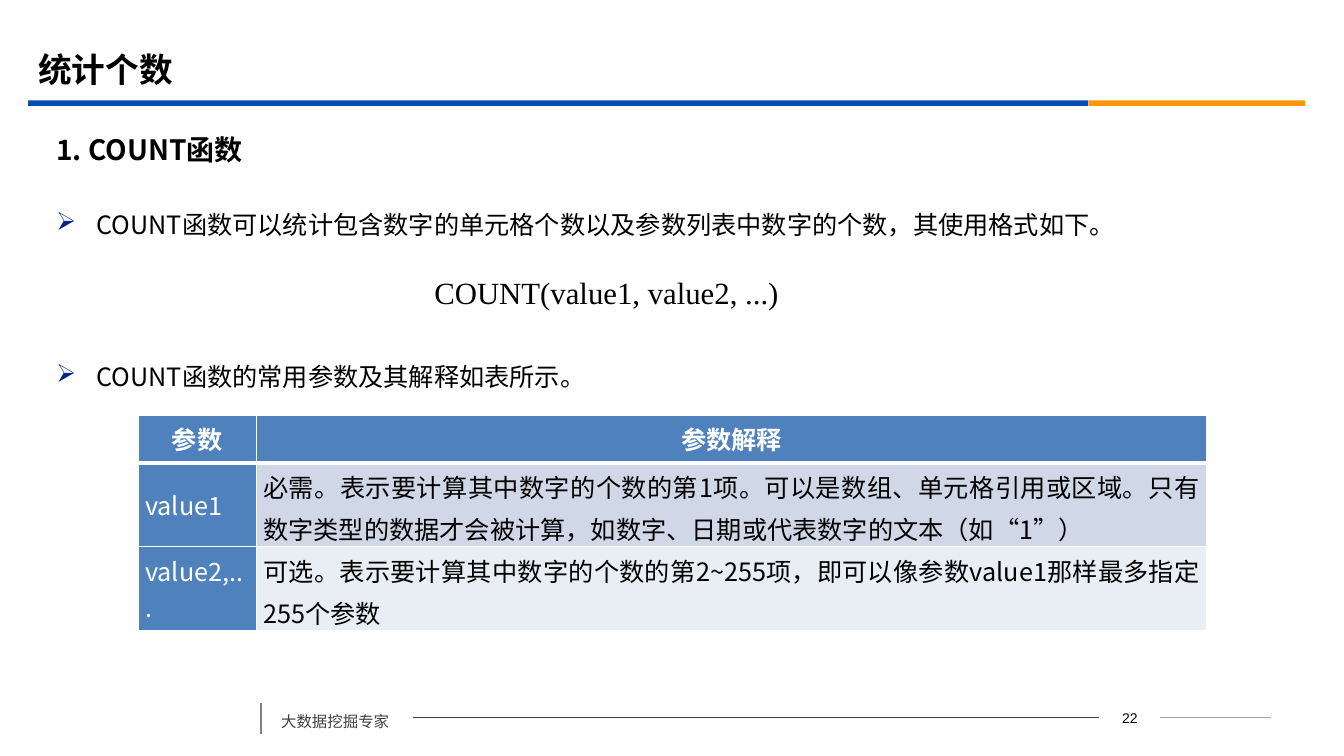
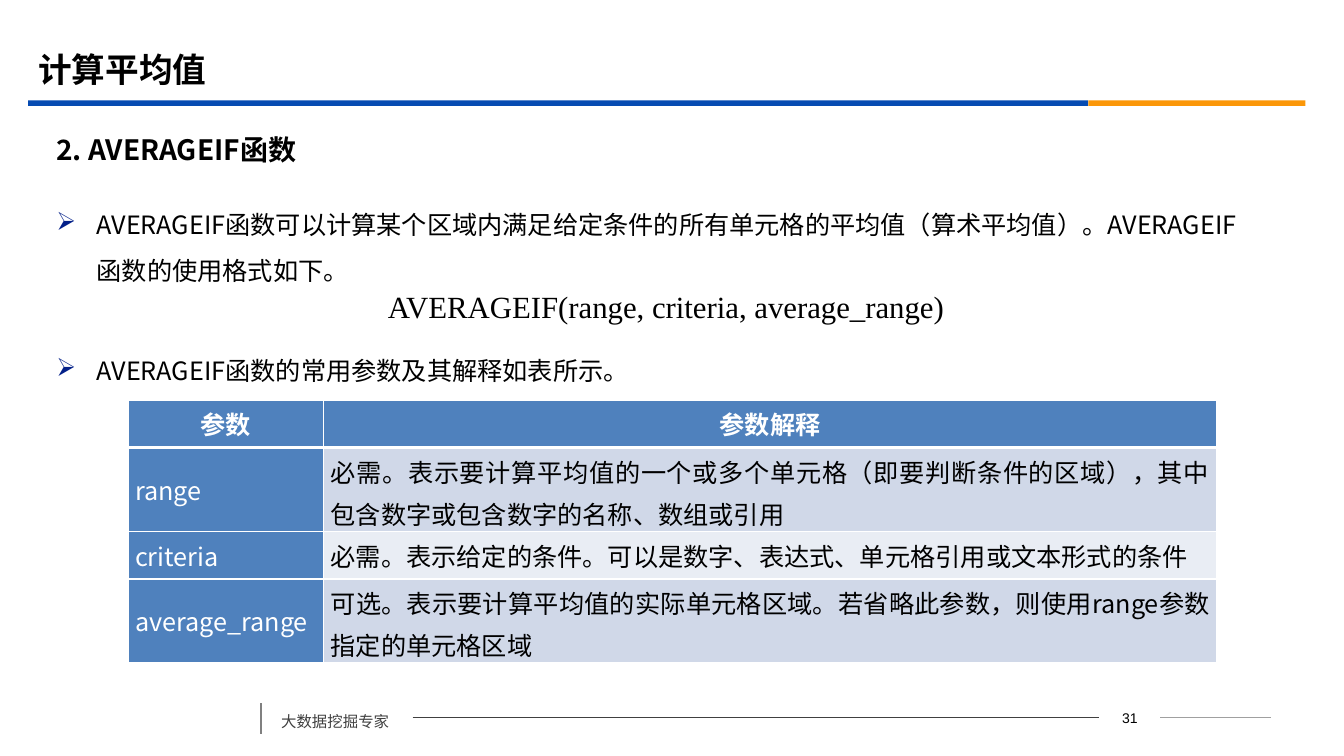
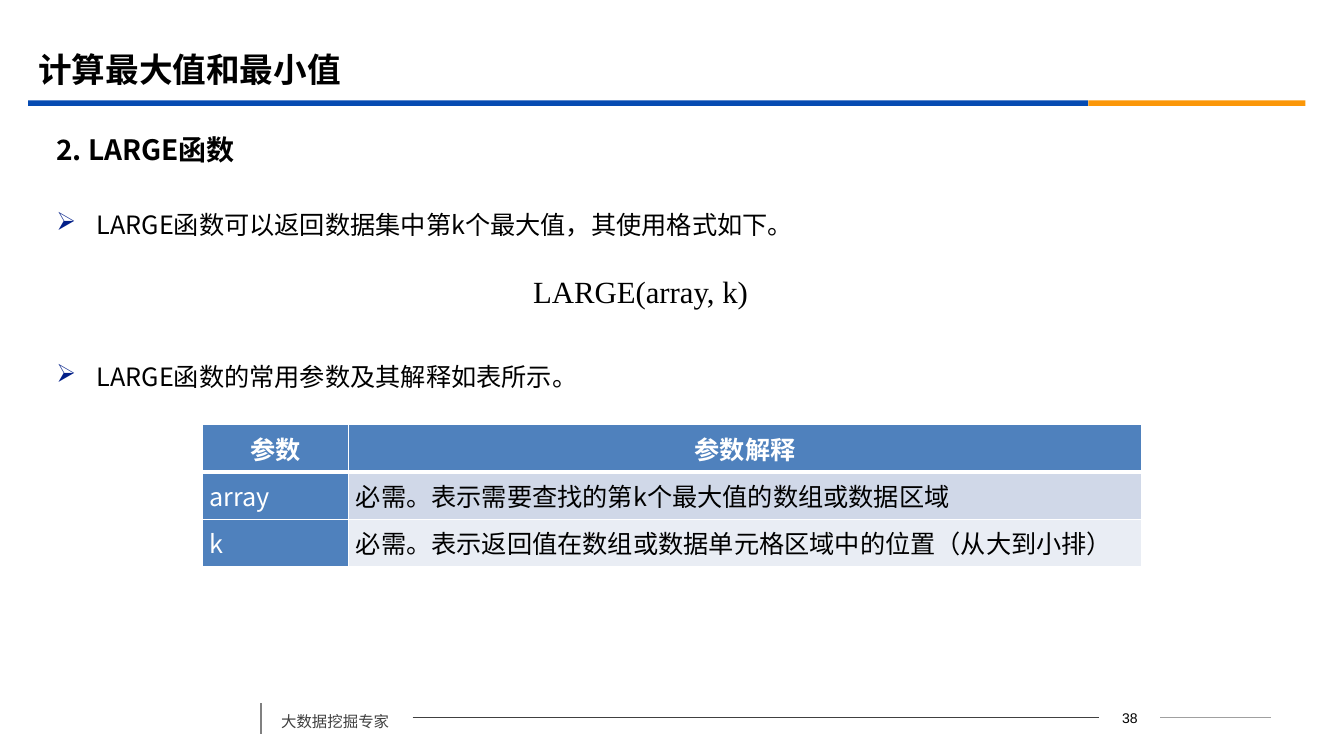
from dataclasses import dataclass

from lxml import etree
from pptx import Presentation
from pptx.dml.color import RGBColor
from pptx.enum.shapes import MSO_CONNECTOR, MSO_SHAPE
from pptx.enum.text import MSO_ANCHOR, PP_ALIGN
from pptx.oxml.ns import qn
from pptx.util import Emu, Inches, Pt

STRAIGHT = MSO_CONNECTOR.STRAIGHT
RECTANGLE = MSO_SHAPE.RECTANGLE
TOP, MIDDLE = MSO_ANCHOR.TOP, MSO_ANCHOR.MIDDLE
LEFT, CENTER, JUSTIFY = PP_ALIGN.LEFT, PP_ALIGN.CENTER, PP_ALIGN.JUSTIFY

SANS, SERIF, PLAIN = "Noto Sans CJK SC", "Times New Roman", "Arial"
BLACK, WHITE, GREY = "000000", "FFFFFF", "404040"
BLUE, ORANGE, BULLET = "064BB2", "FB9708", "032089"
HEADER, STRIPES = "4F81BD", ("D0D8E8", "E9EDF4")
WIDTH, HEIGHT = Inches(13.33), Inches(7.5)
ROW_HEIGHTS = {1: 6.27, 2: 11.11}


@dataclass
class Box:
    """A rectangle in EMU."""
    left: float
    top: float
    width: float
    height: float

    def portion(self, left, top, width, height):
        """Return the box at the given shares of this one."""
        return Box(self.left + left * self.width, self.top + top * self.height,
                   width * self.width, height * self.height)

    def place(self):
        """Return the position and size as whole lengths."""
        return [Emu(round(n)) for n in (self.left, self.top, self.width, self.height)]


def area(left, top, width, height):
    """Return a box given in percent of the slide's size."""
    return Box(0, 0, WIDTH, HEIGHT).portion(*(n / 100 for n in (left, top, width, height)))


def color(value):
    """Turn a hex string into a colour."""
    return RGBColor.from_string(value)


def style(para, size, name=SANS, shade=BLACK, bold=False, align=LEFT):
    """Format a whole paragraph."""
    para.alignment = align
    font = para.font
    font.size, font.name, font.bold = Pt(size), name, bold
    font.color.rgb = color(shade)
    for span in para.runs:
        etree.SubElement(span._r.get_or_add_rPr(), qn("a:ea")).set("typeface", SANS)


def add_text(page, box, text, size, anchor=MIDDLE, **look):
    """Add a one-paragraph text box."""
    frame = page.shapes.add_textbox(*box.place()).text_frame
    frame.word_wrap = True
    frame.vertical_anchor = anchor
    frame.text = text
    style(frame.paragraphs[0], size, **look)


def add_bar(page, box, fill):
    """Add a plain filled rectangle."""
    bar = page.shapes.add_shape(RECTANGLE, *box.place())
    bar.shadow.inherit = False
    bar.fill.solid()
    bar.fill.fore_color.rgb = color(fill)
    bar.line.fill.background()


def add_rule(page, box, shade, weight):
    """Add a straight line from the box's top left to its bottom right."""
    left, top, width, height = box.place()
    rule = page.shapes.add_connector(STRAIGHT, left, top, left + width, top + height)
    rule.line.color.rgb = color(shade)
    rule.line.width = Pt(weight)
    etree.SubElement(rule._element.spPr, qn("a:effectLst"))


def add_header(page, box, text):
    """Place the title and the two-colour band below it."""
    title = page.shapes.title
    title.left, title.top, title.width, title.height = box.portion(0, 0, 0.95, 0.88).place()
    frame = title.text_frame
    frame.text = text
    frame.vertical_anchor = MIDDLE
    style(frame.paragraphs[0], 24, name=SERIF, bold=True)
    add_bar(page, box.portion(0, 0.92, 0.83, 0.08), BLUE)
    add_bar(page, box.portion(0.83, 0.92, 0.17, 0.08), ORANGE)


def add_footer(page, box, number):
    """Place the slogan, the page number and the rules around them."""
    add_rule(page, box.portion(0, 0.11, 0, 0.83), "808080", 1.25)
    add_text(page, box.portion(0.01, 0.11, 0.14, 1), "大数据挖掘专家", 11, shade=GREY)
    add_rule(page, box.portion(0.15, 0.5, 0.68, 0), GREY, 0.75)
    add_text(page, box.portion(0.83, 0, 0.06, 1), number, 10, name=PLAIN, align=CENTER)
    add_rule(page, box.portion(0.89, 0.5, 0.11, 0), "A0A0A0", 0.75)


def add_bullets(page, box, texts, gap):
    """Place arrow-bulleted paragraphs with a gap between them in points."""
    frame = page.shapes.add_textbox(*box.place()).text_frame
    frame.word_wrap = True
    frame.vertical_anchor = TOP
    for index, text in enumerate(texts):
        para = frame.paragraphs[0] if index == 0 else frame.add_paragraph()
        para.text = text
        para.line_spacing = Pt(33)
        if index:
            para.space_before = Pt(gap)
        properties = para._p.get_or_add_pPr()
        properties.set("marL", str(Inches(0.4)))
        properties.set("indent", str(-Inches(0.4)))
        shade = etree.SubElement(properties, qn("a:buClr"))
        etree.SubElement(shade, qn("a:srgbClr")).set("val", BULLET)
        etree.SubElement(properties, qn("a:buChar")).set("char", "➢")
        style(para, 18)


def add_borders(cell, top, bottom):
    """Give a cell white borders; the side ones are one point wide."""
    properties = cell._tc.get_or_add_tcPr()
    for index, (side, weight) in enumerate(zip("LRTB", (1, 1, top, bottom))):
        line = etree.Element(qn(f"a:ln{side}"), w=str(Pt(weight)))
        fill = etree.SubElement(line, qn("a:solidFill"))
        etree.SubElement(fill, qn("a:srgbClr")).set("val", WHITE)
        properties.insert(index, line)


def fill_cell(cell, text, row, column, lines):
    """Write and format one cell of a parameter table."""
    is_header = row == 0
    is_label = is_header or column == 0
    cell.text = text
    cell.vertical_anchor = MIDDLE
    cell.margin_left = cell.margin_right = Inches(0.07)
    cell.margin_top = cell.margin_bottom = 0
    cell.fill.solid()
    cell.fill.fore_color.rgb = color(HEADER if is_label else STRIPES[(row - 1) % 2])
    add_borders(cell, 3 if row == 1 else 1, 3 if is_header else 1)
    para = cell.text_frame.paragraphs[0]
    if lines > 1 and not is_label:
        para.line_spacing = Pt(30)
    style(para, 18, shade=WHITE if is_label else BLACK, bold=is_header,
          align=CENTER if is_header else JUSTIFY)


def add_parameters(page, corner, columns, parameters):
    """Place a table of (name, meaning, line count) below a header row."""
    rows = [("参数", "参数解释", 1), *parameters]
    heights = [ROW_HEIGHTS[lines] for *_, lines in rows]
    box = area(*corner, sum(columns), sum(heights))
    table = page.shapes.add_table(len(rows), len(columns), *box.place()).table
    table.horz_banding = False
    for column, share in zip(table.columns, columns):
        column.width = round(WIDTH * share / 100)
    for row, (*texts, lines) in enumerate(rows):
        table.rows[row].height = round(HEIGHT * heights[row] / 100)
        for column, text in enumerate(texts):
            fill_cell(table.cell(row, column), text, row, column, lines)


def add_function_page(deck, title, number, heading, bullets, gap,
                      formula, formula_corner, table_corner, columns, parameters):
    """Add a slide that explains one spreadsheet function."""
    page = deck.slides.add_slide(deck.slide_layouts[5])
    add_header(page, area(2.1, 5.2, 95.03, 8.8), title)
    add_footer(page, area(19.43, 92.53, 75.15, 4.8), number)
    add_text(page, area(3.45, 16.67, 91.13, 6.27), heading, 20, bold=True)
    add_bullets(page, area(3.45, 24.93, 91.13, 63.33), bullets, gap)
    add_text(page, area(*formula_corner, 49, 6.27), formula, 22, anchor=TOP, name=SERIF)
    add_parameters(page, table_corner, columns, parameters)


PAGES = [
    dict(title="统计个数", number="22", heading="1. COUNT函数", gap=75.6,
         bullets=["COUNT函数可以统计包含数字的单元格个数以及参数列表中数字的个数，其使用格式如下。",
                  "COUNT函数的常用参数及其解释如表所示。"],
         formula="COUNT(value1, value2, ...)", formula_corner=(31.58, 35.6),
         table_corner=(10.28, 54.93), columns=(8.78, 70.73),
         parameters=[
             ("value1", "必需。表示要计算其中数字的个数的第1项。可以是数组、单元格引用或区域。"
              "只有数字类型的数据才会被计算，如数字、日期或代表数字的文本（如“1”）", 2),
             ("value2,...", "可选。表示要计算其中数字的个数的第2~255项，"
              "即可以像参数value1那样最多指定255个参数", 2)]),
    dict(title="计算平均值", number="31", heading="2. AVERAGEIF函数", gap=38.3,
         bullets=["AVERAGEIF函数可以计算某个区域内满足给定条件的所有单元格的平均值（算术平均值）。"
                  "AVERAGEIF函数的使用格式如下。",
                  "AVERAGEIF函数的常用参数及其解释如表所示。"],
         formula="AVERAGEIF(range, criteria, average_range)", formula_corner=(28.13, 37.47),
         table_corner=(9.53, 52.93), columns=(14.55, 66.45),
         parameters=[
             ("range", "必需。表示要计算平均值的一个或多个单元格（即要判断条件的区域），"
              "其中包含数字或包含数字的名称、数组或引用", 2),
             ("criteria", "必需。表示给定的条件。可以是数字、表达式、单元格引用或文本形式的条件", 1),
             ("average_range", "可选。表示要计算平均值的实际单元格区域。若省略此参数，"
              "则使用range参数指定的单元格区域", 2)]),
    dict(title="计算最大值和最小值", number="38", heading="2. LARGE函数", gap=75.6,
         bullets=["LARGE函数可以返回数据集中第k个最大值，其使用格式如下。",
                  "LARGE函数的常用参数及其解释如表所示。"],
         formula="LARGE(array, k)", formula_corner=(38.93, 35.47),
         table_corner=(15.08, 56.13), columns=(10.88, 58.95),
         parameters=[
             ("array", "必需。表示需要查找的第k个最大值的数组或数据区域", 1),
             ("k", "必需。表示返回值在数组或数据单元格区域中的位置（从大到小排）", 1)]),
]


def main():
    """Build the deck and save it."""
    deck = Presentation()
    deck.slide_width, deck.slide_height = WIDTH, HEIGHT
    for content in PAGES:
        add_function_page(deck, **content)
    deck.save("out.pptx")


if __name__ == "__main__":
    main()
